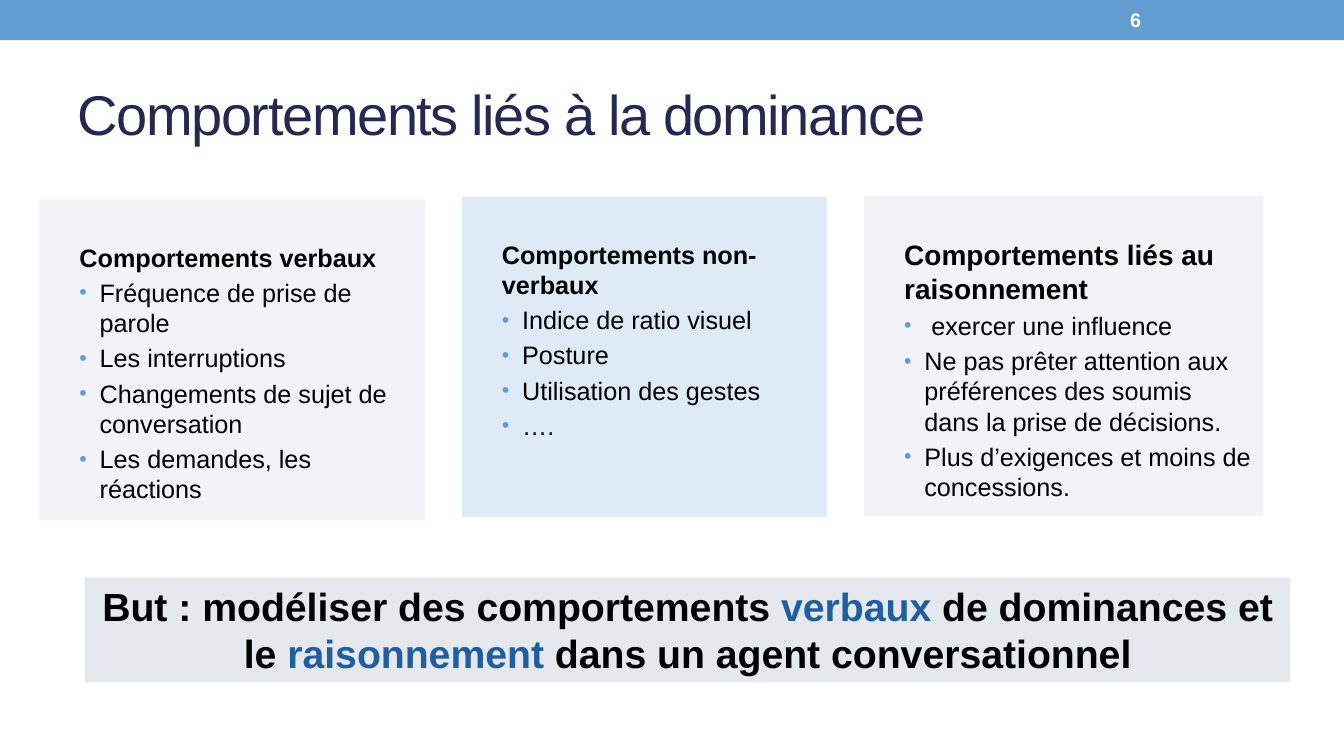
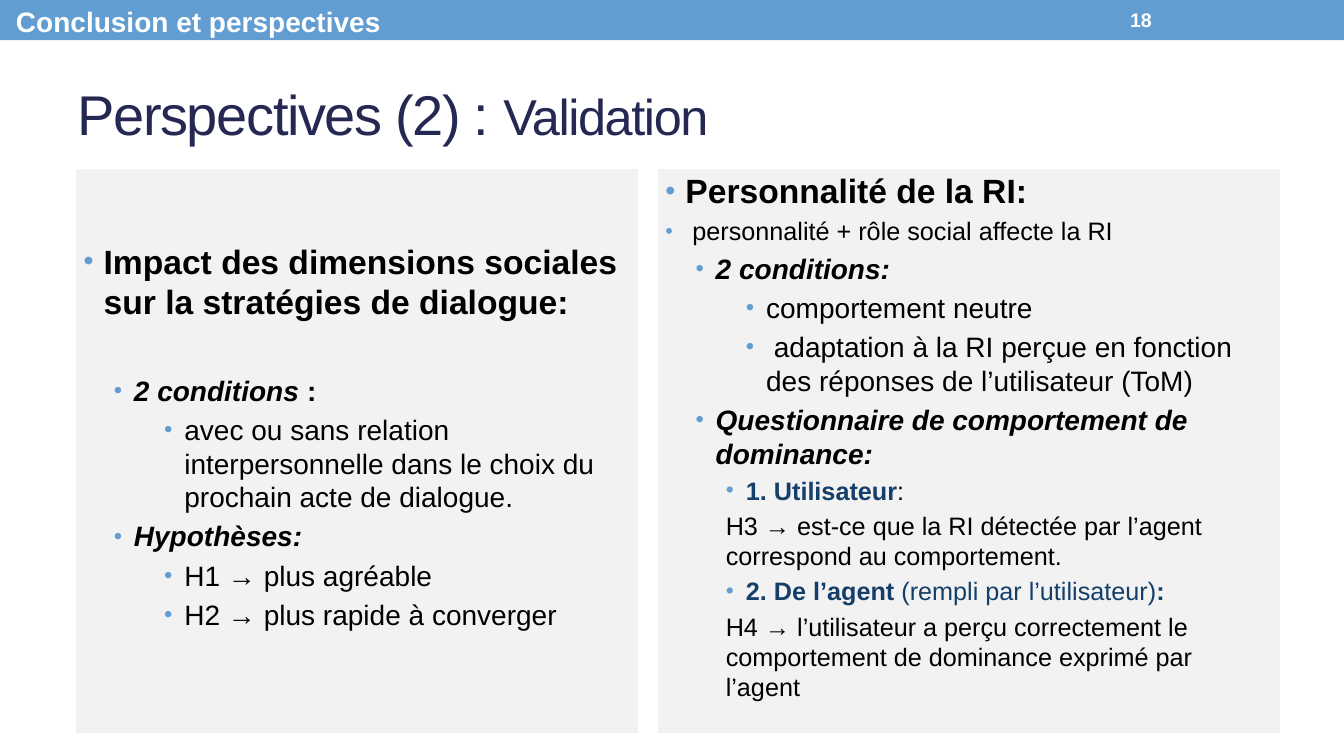
from lxml import etree
from pptx import Presentation
from pptx.dml.color import RGBColor
from pptx.enum.shapes import MSO_SHAPE
from pptx.enum.text import MSO_ANCHOR, PP_ALIGN
from pptx.oxml.ns import qn
from pptx.util import Inches, Pt

FONT = "Arial"
BLUE = RGBColor(0x62, 0x9D, 0xD1)
NAVY = RGBColor(0x24, 0x28, 0x52)
BLACK = RGBColor(0, 0, 0)
WHITE = RGBColor(0xFF, 0xFF, 0xFF)
MIST = RGBColor(0xE5, 0xE9, 0xEE)
SKY = RGBColor(0xC0, 0xD8, 0xED)
PALE = RGBColor(0xF2, 0xF2, 0xF2)
ACCENT = RGBColor(0x1F, 0x5F, 0xA0)
DEEP = RGBColor(0x14, 0x3F, 0x6A)

SLIDE_W, SLIDE_H = 13.33, 7.5
CARD_H, CARD_ALPHA = 3.18, 52
PANEL_TOP, PANEL_H = 1.65, 5.65

# Paragraph styles: left margin, bullet size in % (0 for none), text size, bold, italic
STYLES = {
    "card_head": (0.3, 0, 18, True, False),
    "card_head_big": (0.3, 0, 20, True, False),
    "card_item": (0.5, 85, 18, False, False),
    "topic": (0.2, 85, 24, True, False),
    "remark": (0.2, 85, 18, False, False),
    "section": (0.5, 85, 20, True, True),
    "item": (1.0, 85, 20, False, False),
    "respondent": (0.8, 90, 18, True, False),
    "hypothesis": (0.6, 0, 18, False, False),
}
HANGING = 0.2

# Cards: left, top, width, fill, heading style, heading, items
CARDS = [
    (0.39, 1.98, 3.83, MIST, "card_head", "Comportements verbaux",
     ["Fréquence de prise de parole", "Les interruptions",
      "Changements de sujet de conversation", "Les demandes, les réactions"]),
    (4.58, 1.95, 3.62, SKY, "card_head", "Comportements non-verbaux",
     ["Indice de ratio visuel", "Posture", "Utilisation des gestes", "…."]),
    (8.57, 1.94, 3.96, MIST, "card_head_big", "Comportements liés au raisonnement",
     [" exercer une influence",
      "Ne pas prêter attention aux préférences des soumis dans la prise de décisions.",
      "Plus d’exigences et moins de concessions."]),
]

GOAL = [
    ("But : modéliser des comportements ", {}),
    ("verbaux", {"color": ACCENT}),
    (" de dominances et le ", {}),
    ("raisonnement ", {"color": ACCENT}),
    ("dans un agent conversationnel", {}),
]

# Panels: left, width, paragraphs as (style, runs, extra space before in points)
PANELS = [
    (0.73, 5.62, [
        ("topic", "Impact des dimensions sociales sur la stratégies de dialogue:", 0),
        ("section", [("2 conditions ", {}), (":", {"italic": False})], 33),
        ("item", "avec ou sans relation interpersonnelle dans le choix du "
                 "prochain acte de dialogue.", 0),
        ("section", "Hypothèses:", 0),
        ("item", "H1 → plus agréable", 0),
        ("item", "H2 → plus rapide à converger", 0),
    ]),
    (6.5, 6.22, [
        ("topic", "Personnalité de la RI:", 0),
        ("remark", " personnalité + rôle social affecte la RI", 0),
        ("section", "2 conditions:", 0),
        ("item", "comportement neutre", 0),
        ("item", " adaptation à la RI perçue en fonction des réponses de "
                 "l’utilisateur (ToM)", 0),
        ("section", "Questionnaire de comportement de dominance:", 0),
        ("respondent", [("1. Utilisateur", {"color": DEEP}), (":", {"bold": False})], 0),
        ("hypothesis", "H3 → est-ce que la RI détectée par l’agent correspond "
                       "au comportement.", 0),
        ("respondent", [("2. De l’agent ", {"color": DEEP}),
                        ("(rempli par l’utilisateur)", {"color": DEEP, "bold": False}),
                        (":", {"color": DEEP})], 0),
        ("hypothesis", "H4 → l’utilisateur a perçu correctement le comportement de "
                       "dominance exprimé par l’agent", 0),
    ]),
]


def add_runs(p, runs, size, color=BLACK, bold=False, italic=False):
    """Fill a paragraph from a string or from (text, overrides) pairs."""
    if isinstance(runs, str):
        runs = [(runs, {})]
    for text, changes in runs:
        r = p.add_run()
        r.text = text
        f = r.font
        f.name, f.size = FONT, Pt(size)
        f.bold = changes.get("bold", bold)
        f.italic = changes.get("italic", italic)
        f.color.rgb = changes.get("color", color)


def set_bullet(p, margin, percent):
    pPr = p._p.get_or_add_pPr()
    pPr.set("marL", str(Inches(margin)))
    pPr.set("indent", str(Inches(-HANGING if percent else 0)))
    if not percent:
        etree.SubElement(pPr, qn("a:buNone"))
        return
    clr = etree.SubElement(pPr, qn("a:buClr"))
    etree.SubElement(clr, qn("a:srgbClr"), val=str(BLUE))
    etree.SubElement(pPr, qn("a:buSzPct"), val=str(percent * 1000))
    etree.SubElement(pPr, qn("a:buFont"), typeface=FONT)
    etree.SubElement(pPr, qn("a:buChar"), char="•")


def add_list(tf, paragraphs):
    for i, (style, runs, extra) in enumerate(paragraphs):
        margin, percent, size, bold, italic = STYLES[style]
        p = tf.add_paragraph() if i else tf.paragraphs[0]
        p.alignment = PP_ALIGN.LEFT
        set_bullet(p, margin, percent)
        if i:
            p.space_before = Pt(0.2 * size + extra)
        add_runs(p, runs, size, bold=bold, italic=italic)


def add_box(slide, left, top, width, height, fill, alpha=100, line=None):
    sp = slide.shapes.add_shape(MSO_SHAPE.RECTANGLE, Inches(left), Inches(top),
                                Inches(width), Inches(height))
    sp.shadow.inherit = False
    sp.fill.solid()
    sp.fill.fore_color.rgb = fill
    if alpha < 100:
        clr = sp._element.spPr.find(qn("a:solidFill"))[0]
        etree.SubElement(clr, qn("a:alpha"), val=str(alpha * 1000))
    if line is None:
        sp.line.fill.background()
    else:
        sp.line.color.rgb = line
        sp.line.width = Pt(3.5)
    sp.text_frame.word_wrap = True
    sp.text_frame.vertical_anchor = MSO_ANCHOR.TOP
    return sp


def add_text(slide, left, top, width, height, runs, size, color, bold=True,
             anchor=MSO_ANCHOR.MIDDLE):
    tb = slide.shapes.add_textbox(Inches(left), Inches(top), Inches(width), Inches(height))
    tf = tb.text_frame
    tf.word_wrap = True
    tf.vertical_anchor = anchor
    add_runs(tf.paragraphs[0], runs, size, color, bold)
    return tf.paragraphs[0]


def add_slide(prs, number, title, section=None):
    """Add a blank slide with the top band, title, page number and section name."""
    slide = prs.slides.add_slide(prs.slide_layouts[6])
    add_box(slide, 0, 0, SLIDE_W, 0.4, BLUE)
    p = add_text(slide, 0.67, 0.58, 12, 1.08, "", 40, NAVY, bold=False)
    for r in list(p.runs):
        p._p.remove(r._r)
    for text, size in title:
        add_runs(p, text, size, NAVY)
    for r in p.runs:
        r.font._element.set("spc", "-100")
    add_text(slide, 11.11, 0.02, 1.56, 0.36, str(number), 14, WHITE)
    if section:
        add_text(slide, 0.06, 0, 4.52, 0.44, section, 20, WHITE, anchor=MSO_ANCHOR.TOP)
    return slide


def build_dominance(prs):
    slide = add_slide(prs, 6, [("Comportements liés à la dominance", 40)])
    for left, top, width, fill, style, heading, items in CARDS:
        tf = add_box(slide, left, top, width, CARD_H, fill, CARD_ALPHA).text_frame
        tf.margin_top = Inches(0.42)
        add_list(tf, [(style, heading, 0)] + [("card_item", item, 0) for item in items])
    p = add_box(slide, 0.84, 5.73, 11.96, 1.04, MIST).text_frame.paragraphs[0]
    p.alignment = PP_ALIGN.CENTER
    add_runs(p, GOAL, 28, bold=True)


def build_validation(prs):
    slide = add_slide(prs, 18, [("Perspectives (2) : ", 40), ("Validation", 36)],
                      "Conclusion et perspectives")
    for left, width, paragraphs in PANELS:
        tf = add_box(slide, left, PANEL_TOP, width, PANEL_H, PALE, line=WHITE).text_frame
        tf.vertical_anchor = MSO_ANCHOR.MIDDLE
        tf.margin_bottom = Inches(0.35)
        add_list(tf, paragraphs)


def main():
    prs = Presentation()
    prs.slide_width, prs.slide_height = Inches(SLIDE_W), Inches(SLIDE_H)
    build_dominance(prs)
    build_validation(prs)
    prs.save("out.pptx")


if __name__ == "__main__":
    main()
